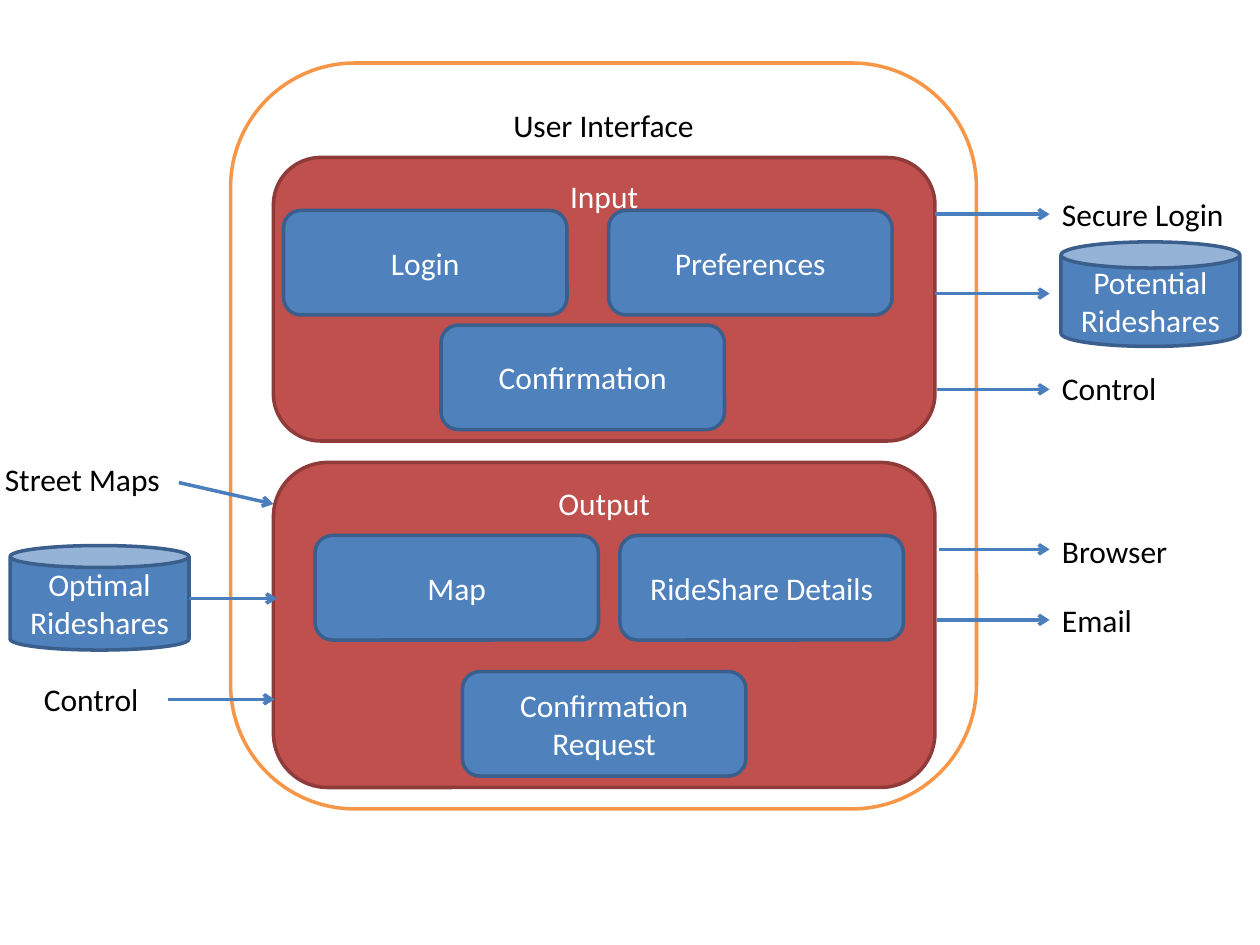
"""Build the ride-sharing user interface diagram with its inputs and outputs."""
from lxml.etree import SubElement
from pptx import Presentation
from pptx.dml.color import RGBColor
from pptx.enum.shapes import MSO_CONNECTOR as Connector, MSO_SHAPE as Shape
from pptx.enum.text import MSO_ANCHOR as Anchor, MSO_AUTO_SIZE as AutoSize, PP_ALIGN as Align
from pptx.oxml.ns import qn
from pptx.util import Inches, Pt

COLORS = {
    "white": "FFFFFF", "black": "000000", "orange": "F79646",
    "red": "C0504D", "dark_red": "8E3B39",
    "blue": "4F81BD", "dark_blue": "3A5F8C", "arrow": "4B7EBC",
}
FONT, TEXT_SIZE, LINE_WIDTH = "Calibri", Pt(18), Pt(2)
MODULE_SIZE = (2.25, 0.83)
STORE_SIZE = (1.42, 0.83)
LABEL_HEIGHT = 0.4
PANEL_LEFT, PANEL_WIDTH = 2.17, 5.25
OUTSIDE_RIGHT = 8.33

LABELS = [
    ("Street Maps", -0.06, 3.6, 1.56),
    ("Control", 0.25, 5.35, 0.96),
    ("Secure Login", OUTSIDE_RIGHT, 1.5, 1.5),
    ("Control", OUTSIDE_RIGHT, 2.88, 0.96),
    ("Browser", OUTSIDE_RIGHT, 4.17, 1.04),
    ("Email", OUTSIDE_RIGHT, 4.72, 0.76),
]
STORES = [
    (["Potential Rideshares"], 8.42, 1.92, 0.25),
    (["Optimal", "Rideshares"], 0.08, 4.33, 0.21),
]
PANELS = [
    ("Input", 1.25, 2.25, [
        ("Login", 2.25, 1.67), ("Preferences", 4.83, 1.67), ("Confirmation", 3.5, 2.58)]),
    ("Output", 3.67, 2.58, [
        ("Map", 2.5, 4.25), ("RideShare Details", 4.92, 4.25),
        ("Confirmation Request", 3.67, 5.33)]),
]
OUTGOING = [(7.42, 1.7), (7.42, 2.33), (7.44, 3.09), (7.45, 4.36), (7.44, 4.92)]
INCOMING = [
    ((1.42, 3.83), (2.17, 4)),
    ((1.5, 4.75), (2.2, 4.75)),
    ((1.33, 5.55), (2.18, 5.55)),
]


def rgb(name):
    """Return the named colour."""
    return RGBColor.from_string(COLORS[name])


def write(frame, lines, color, align):
    """Write one paragraph per line."""
    for index, line in enumerate(lines):
        paragraph = frame.add_paragraph() if index else frame.paragraphs[0]
        paragraph.alignment = align
        run = paragraph.add_run()
        run.text = line
        run.font.name, run.font.size = FONT, TEXT_SIZE
        run.font.color.rgb = rgb(color)


def add_block(slide, kind, box, lines, fill, outline, color="white", anchor=Anchor.MIDDLE):
    """Add a filled, outlined shape with centred text."""
    block = slide.shapes.add_shape(kind, *map(Inches, box))
    block.shadow.inherit = False
    block.fill.solid()
    block.fill.fore_color.rgb = rgb(fill)
    block.line.color.rgb = rgb(outline)
    block.line.width = LINE_WIDTH
    block.text_frame.vertical_anchor = anchor
    write(block.text_frame, lines, color, Align.CENTER)
    return block


def add_label(slide, name, left, top, width):
    """Add a single-line label outside the interface."""
    box = slide.shapes.add_textbox(*map(Inches, (left, top, width, LABEL_HEIGHT)))
    box.text_frame.word_wrap = False
    box.text_frame.auto_size = AutoSize.SHAPE_TO_FIT_TEXT
    write(box.text_frame, [name], "black", Align.LEFT)


def add_arrow(slide, start, end):
    """Add an arrow between two points."""
    arrow = slide.shapes.add_connector(Connector.STRAIGHT, *map(Inches, start + end))
    arrow.line.color.rgb = rgb("arrow")
    arrow.line.width = LINE_WIDTH
    properties = arrow.element.spPr
    SubElement(properties.find(qn("a:ln")), qn("a:tailEnd"), type="arrow")
    SubElement(properties, qn("a:effectLst"))


def main():
    """Lay out the diagram and save it."""
    deck = Presentation()
    deck.slide_width, deck.slide_height = Inches(10), Inches(7.5)
    slide = deck.slides.add_slide(deck.slide_layouts[6])

    for label in LABELS:
        add_label(slide, *label)
    for lines, left, top, rim in STORES:
        store = add_block(slide, Shape.CAN, (left, top, *STORE_SIZE), lines, "blue", "dark_blue")
        store.adjustments[0] = rim

    add_block(slide, Shape.ROUNDED_RECTANGLE, (1.83, 0.5, 5.92, 5.92), ["User Interface"],
              "white", "orange", "black", Anchor.TOP)
    for title, top, height, modules in PANELS:
        add_block(slide, Shape.ROUNDED_RECTANGLE, (PANEL_LEFT, top, PANEL_WIDTH, height),
                  [title], "red", "dark_red", anchor=Anchor.TOP)
        for name, left, module_top in modules:
            add_block(slide, Shape.ROUNDED_RECTANGLE, (left, module_top, *MODULE_SIZE),
                      [name], "blue", "dark_blue")

    for left, y in OUTGOING:
        add_arrow(slide, (left, y), (OUTSIDE_RIGHT, y))
    for start, end in INCOMING:
        add_arrow(slide, start, end)

    deck.save("out.pptx")


if __name__ == "__main__":
    main()
